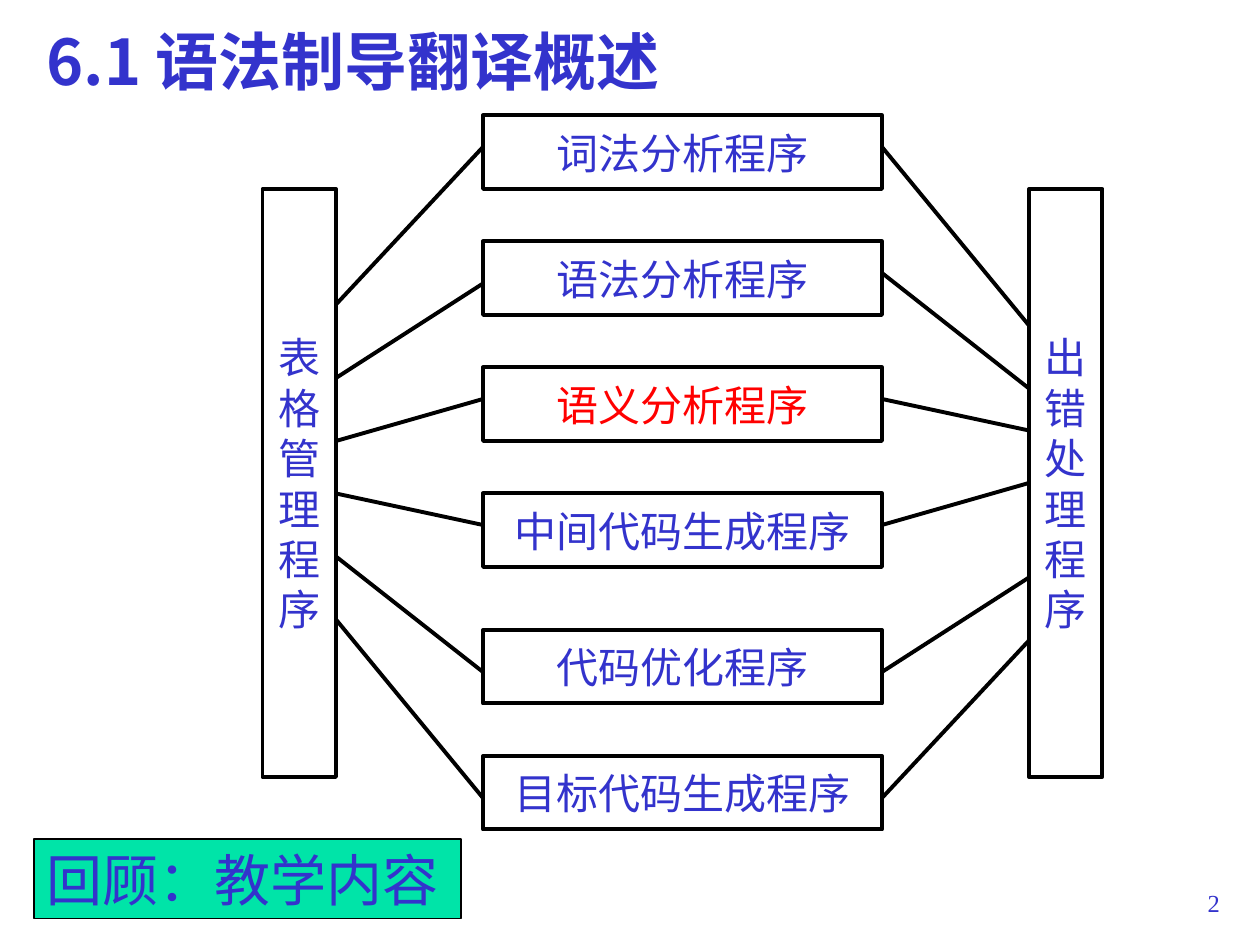
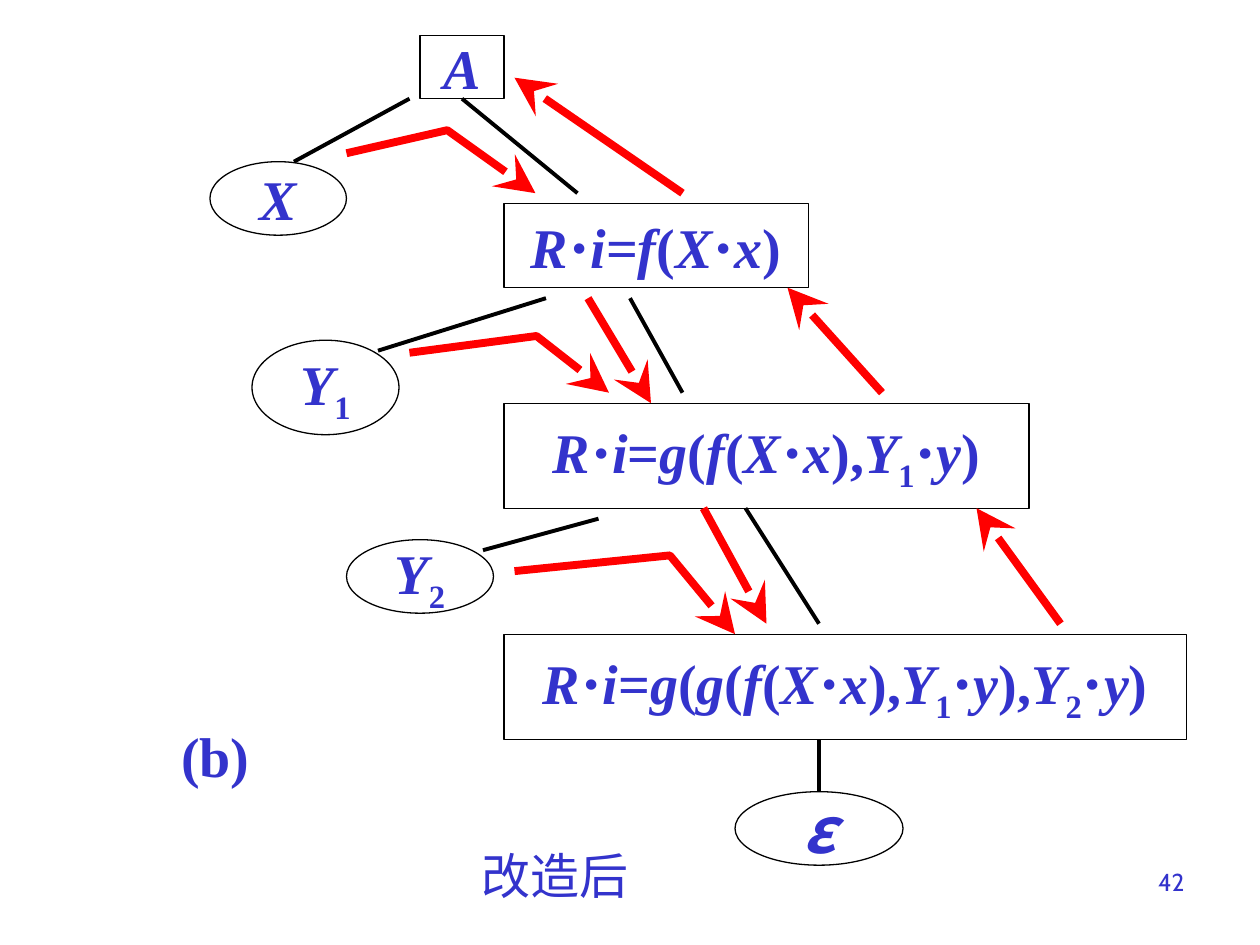
from dataclasses import dataclass
from itertools import groupby

from lxml import etree
from pptx import Presentation
from pptx.dml.color import RGBColor
from pptx.enum.shapes import MSO_CONNECTOR, MSO_SHAPE
from pptx.enum.text import MSO_ANCHOR, MSO_AUTO_SIZE, PP_ALIGN
from pptx.oxml.ns import qn
from pptx.util import Inches, Pt

RECT, OVAL = MSO_SHAPE.RECTANGLE, MSO_SHAPE.OVAL
LEFT, MID, RIGHT = PP_ALIGN.LEFT, PP_ALIGN.CENTER, PP_ALIGN.RIGHT
TOP, CORE, BASE = MSO_ANCHOR.TOP, MSO_ANCHOR.MIDDLE, MSO_ANCHOR.BOTTOM
STRAIGHT = MSO_CONNECTOR.STRAIGHT


@dataclass(frozen=True)
class Theme:
    ink: RGBColor = RGBColor(0x33, 0x33, 0xCC)
    red: RGBColor = RGBColor(0xFF, 0, 0)
    black: RGBColor = RGBColor(0, 0, 0)
    white: RGBColor = RGBColor(0xFF, 0xFF, 0xFF)
    mint: RGBColor = RGBColor(0, 0xE4, 0xA8)
    han: str = "Noto Sans CJK JP"
    sans: str = "Noto Sans CJK SC"
    serif: str = "Times New Roman"
    page: str = "Cabin"
    title: int = 36
    large: int = 32
    label: int = 28
    body: int = 24
    small: int = 14
    thin: float = 0.75
    firm: float = 2.25
    bold: float = 4.5


T = Theme()
deck = Presentation()
deck.slide_width, deck.slide_height = Inches(10), Inches(7.5)
UNIT = deck.slide_width / 120  # the slide is 120 columns by 90 rows
LIFT = 0.4  # the tree's rows start this far down


def dress(shape, text, size, face, align=MID, anchor=CORE, wrap=False,
          tint=T.ink, bold=False, math=False, fill=None, edge=0):
    """Style a shape and its text; math slants letters and lowers digits."""
    if edge:
        shape.shadow.inherit = False
        shape.line.color.rgb, shape.line.width = T.black, Pt(edge)
        if fill is None:
            shape.fill.background()
        else:
            shape.fill.solid()
            shape.fill.fore_color.rgb = fill
    frame = shape.text_frame
    frame.word_wrap, frame.vertical_anchor = wrap, anchor
    if math:
        for _, part in groupby(text, lambda c: (c.isalpha(), c.isdigit())):
            frame.paragraphs[0].add_run().text = "".join(part)
    else:
        frame.text = text
    for para in frame.paragraphs:
        para.alignment = align
        for run in para.runs:
            font = run.font
            font.size, font.bold = Pt(size), bold
            font.italic = math and run.text.isalpha()
            font.color.rgb, font.name = tint, face
            props = run._r.get_or_add_rPr()
            etree.SubElement(props, qn("a:ea")).set("typeface", face)
            if math and run.text.isdigit():
                props.set("baseline", "-25000")


def stroke(slide, points, tint=T.black, width=T.firm, head=False, drop=0):
    """Draw a line, or a bent path, through points of the grid."""
    spots = [(round(x * UNIT), round((y + drop) * UNIT)) for x, y in points]
    if len(spots) == 2:
        line = slide.shapes.add_connector(STRAIGHT, *spots[0], *spots[1])
        etree.SubElement(line._element.spPr, qn("a:effectLst"))
    else:
        path = slide.shapes.build_freeform(*spots[0])
        path.add_line_segments(spots[1:], close=False)
        line = path.convert_to_shape()
        line.shadow.inherit = False
        line.fill.background()
    line.line.color.rgb, line.line.width = tint, Pt(width)
    if head:
        pen = line._element.spPr.find(qn("a:ln"))
        etree.SubElement(pen, qn("a:tailEnd"), type="stealth", w="lg", len="lg")
    return line


# Slide 1: phases of a compiler
phases = deck.slides.add_slide(deck.slide_layouts[5])
title = phases.shapes.title
title.left, title.top = Inches(0.27), Inches(0.13)
title.width, title.height = Inches(5.75), Inches(0.71)
dress(title, "6.1 语法制导翻译概述", T.title, T.han, LEFT, TOP, True, bold=True)
title.text_frame.auto_size = MSO_AUTO_SIZE.SHAPE_TO_FIT_TEXT

# name, top of box, then the rows where its lines end, from left to right
steps = [
    ("词法分析程序", 11, 29, 14, 14, 31),
    ("语法分析程序", 23, 36, 27, 26, 37),
    ("语义分析程序", 35, 42, 38, 38, 41),
    ("中间代码生成程序", 47, 47, 50, 50, 46),
    ("代码优化程序", 60, 53, 64, 64, 55),
    ("目标代码生成程序", 72, 59, 76, 76, 61),
]
boxes = [(name, 46, top, 38, 7) for name, top, *_ in steps]
boxes += [("\n".join("表格管理程序"), 25, 18, 7, 56),
          ("\n".join("出错处理程序"), 98, 18, 7, 56)]
for name, *cell in boxes:
    box = phases.shapes.add_shape(RECT, *(round(n * UNIT) for n in cell))
    dress(box, name, T.body, T.han, fill=T.white, edge=T.firm,
          tint=T.red if name == "语义分析程序" else T.ink)
for _, _, table, west, east, error in steps:
    stroke(phases, [(46, west), (32, table)])
    stroke(phases, [(98, error), (84, east)])

badge = phases.shapes.add_shape(
    RECT, Inches(0.27), Inches(6.66), Inches(3.39), Inches(0.63))
dress(badge, "回顾：教学内容", T.large, T.han, LEFT, fill=T.mint, edge=T.thin)

# Slide 2: parse tree with inherited attributes
tree = deck.slides.add_slide(deck.slide_layouts[6])
nodes = {}
for kind, name, x, y, wide, high in [
    (RECT, "A", 40, 3, 8, 6),
    (RECT, "R⋅i=f(X⋅x)", 48, 19, 29, 8),
    (RECT, "R⋅i=g(f(X⋅x),Y1⋅y)", 48, 38, 50, 10),
    (RECT, "R⋅i=g(g(f(X⋅x),Y1⋅y),Y2⋅y)", 48, 60, 65, 10),
    (OVAL, "ε", 70, 75, 16, 7),
    (OVAL, "Y2", 33, 51, 14, 7),
    (OVAL, "Y1", 24, 32, 14, 9),
    (OVAL, "X", 20, 15, 13, 7),
]:
    cell = (x, y + LIFT, wide, high)
    node = tree.shapes.add_shape(kind, *(round(n * UNIT) for n in cell))
    size, face = (T.title, T.sans) if name == "ε" else (T.large, T.serif)
    dress(node, name, size, face, bold=True, math=True, edge=T.thin)
    nodes[name] = node

stroke(tree, [(44, 9), (55, 18)], drop=LIFT).begin_connect(nodes["A"], 2)
stroke(tree, [(78, 70), (78, 75)], drop=LIFT).end_connect(nodes["ε"], 0)
for points in [
    [(71, 48), (78, 59)],
    [(60, 28), (65, 37)],
    [(39, 9), (28, 15)],
    [(52, 28), (36, 33)],
    [(57, 49), (46, 52)],
]:
    stroke(tree, points, drop=LIFT)
for points in [
    [(33, 14.2), (42.6, 12), (51, 18)],
    [(39, 33.2), (51.1, 31.6), (58, 37)],
    [(56, 28), (62, 38)],
    [(49, 54), (63.8, 52.5), (70, 60)],
    [(67, 48), (73, 59)],
    [(101, 59), (93, 48)],
    [(84, 37), (75, 27)],
    [(65, 18), (49, 7)],
]:
    stroke(tree, points, T.red, T.bold, True, LIFT)

# Captions and page numbers
for slide, text, cell, size, face, align, anchor, bold in [
    (phases, "2", (7.7, 6.83, 2.08, 0.5), T.small, T.serif, RIGHT, BASE, False),
    (tree, "42", (7.17, 6.83, 2.33, 0.52), T.small, T.page, RIGHT, TOP, False),
    (tree, "(b)", (1.21, 5.68, 1, 0.63), T.large, T.serif, MID, CORE, True),
    (tree, "改造后", (3.58, 6.66, 1.65, 0.57), T.label, T.han, MID, TOP, False),
]:
    note = slide.shapes.add_textbox(*(Inches(n) for n in cell))
    dress(note, text, size, face, align, anchor, True, bold=bold)

deck.save("out.pptx")
